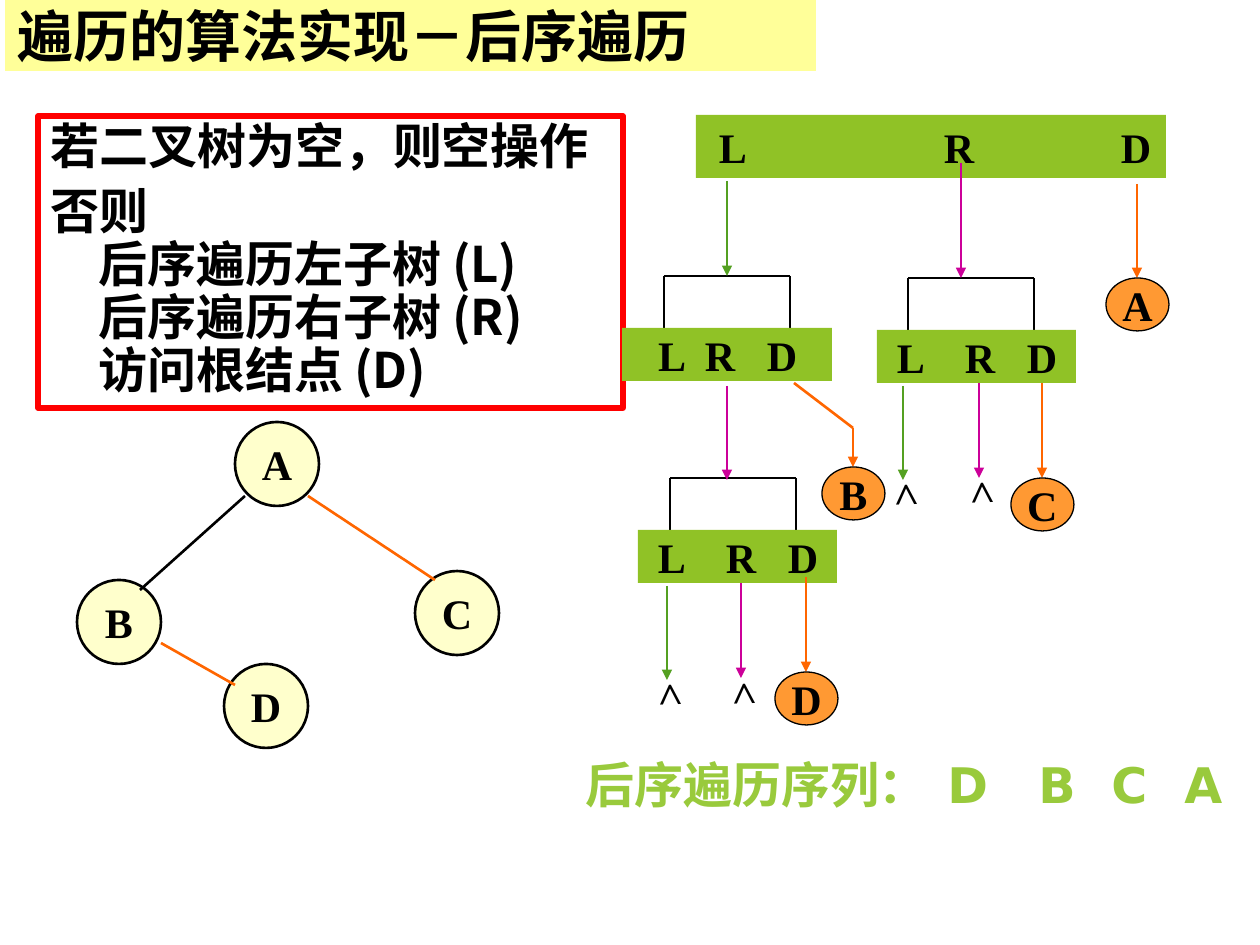
from dataclasses import dataclass

from lxml import etree
from pptx import Presentation
from pptx.dml.color import RGBColor
from pptx.enum.shapes import MSO_CONNECTOR, MSO_SHAPE
from pptx.enum.text import MSO_ANCHOR, MSO_AUTO_SIZE, PP_ALIGN
from pptx.oxml.ns import qn
from pptx.util import Pt

LINE = MSO_CONNECTOR.STRAIGHT
RECT, OVAL = MSO_SHAPE.RECTANGLE, MSO_SHAPE.OVAL
TOP, MID = MSO_ANCHOR.TOP, MSO_ANCHOR.MIDDLE
LEFT, CENTER = PP_ALIGN.LEFT, PP_ALIGN.CENTER
FIXED = MSO_AUTO_SIZE.NONE
SCALE = 914400 / 126


@dataclass(frozen=True)
class Theme:
    ink: str = "000000"
    banner: str = "FFFF99"
    frame: str = "FF0000"
    node: str = "FFFFCC"
    leaf: str = "FF9933"
    bar: str = "90C226"
    left: str = "54A021"
    right: str = "CC0099"
    root: str = "FF6600"
    total: str = "99CA3C"
    cjk: str = "Noto Sans CJK SC"
    serif: str = "Times New Roman"
    sans: str = "DejaVu Sans"
    title: int = 32
    body: int = 28
    label: int = 24
    thick: float = 3
    line: float = 1.5
    thin: float = 0.75


THEME = Theme()


def px(value):
    return round(value * SCALE)


def rgb(code):
    return RGBColor.from_string(code)


def place(shape, box):
    shape.left, shape.top, shape.width, shape.height = map(px, box)


def style(par, size, face, color=THEME.ink):
    for run in par.runs:
        font = run.font
        font.size, font.bold, font.name = Pt(size), True, face
        font.color.rgb = rgb(color)
        etree.SubElement(run._r.get_or_add_rPr(), qn("a:ea"), typeface=face)


def set_tabs(par, stops, align):
    tabs = etree.SubElement(par._p.get_or_add_pPr(), qn("a:tabLst"))
    for stop in stops:
        etree.SubElement(tabs, qn("a:tab"), pos=str(px(stop)), algn=align)


def draw(slide, kind, box, fill, line=None, width=0):
    shape = slide.shapes.add_shape(kind, *map(px, box))
    shape.shadow.inherit = False
    shape.fill.solid()
    shape.fill.fore_color.rgb = rgb(fill)
    if line:
        shape.line.color.rgb = rgb(line)
        shape.line.width = Pt(width)
    else:
        shape.line.fill.background()
    return shape


def label(shape, text, align=CENTER, stops=()):
    frame = shape.text_frame
    frame.margin_left = frame.margin_right = 0
    frame.margin_top = frame.margin_bottom = 0
    frame.vertical_anchor = MID
    frame.word_wrap = bool(stops)
    frame.text = text
    par = frame.paragraphs[0]
    par.alignment = align
    if stops:
        set_tabs(par, stops, "ctr")
    style(par, THEME.label, THEME.serif)


def link(slide, start, end, color=THEME.ink, arrow=False):
    line = slide.shapes.add_connector(LINE, *map(px, (*start, *end)))
    line.line.color.rgb = rgb(color)
    line.line.width = Pt(THEME.line)
    if arrow:
        etree.SubElement(line.line._get_or_add_ln(), qn("a:tailEnd"), type="triangle")
    etree.SubElement(line._element.spPr, qn("a:effectLst"))


def add_bar(slide, box, stops):
    bar = draw(slide, RECT, box, THEME.bar)
    label(bar, "\tL\tR\tD", LEFT, stops)


def add_head(slide, box):
    head = slide.shapes.title
    place(head, box)
    head.fill.solid()
    head.fill.fore_color.rgb = rgb(THEME.banner)
    frame = head.text_frame
    frame.auto_size, frame.vertical_anchor = FIXED, MID
    frame.text = "遍历的算法实现－后序遍历"
    par = frame.paragraphs[0]
    par.alignment = LEFT
    style(par, THEME.title, THEME.cjk)


def add_rules(slide, box):
    body = slide.placeholders[1]
    place(body, box)
    body.line.color.rgb = rgb(THEME.frame)
    body.line.width = Pt(THEME.thick)
    frame = body.text_frame
    frame.auto_size, frame.vertical_anchor = FIXED, TOP
    texts = (
        "若二叉树为空，则空操作",
        "否则\v后序遍历左子树 (L)\v后序遍历右子树 (R)\v访问根结点 (D)",
    )
    for row, text in enumerate(texts):
        par = frame.add_paragraph() if row else frame.paragraphs[0]
        par.text = text
        props = par._p.get_or_add_pPr()
        props.set("marL", str(px(48)))
        props.set("indent", str(px(-48)))
        etree.SubElement(props, qn("a:buNone"))
        par.line_spacing = 0.9
        par.space_before = Pt(7 * row)
        style(par, THEME.body, THEME.cjk)


def add_tree(slide, box):
    x, y, w, h = box
    size = 84
    nodes = (("A", 158, 0), ("D", 147, h - size), ("B", 0, 158), ("C", w - size, 149))
    for name, dx, dy in nodes:
        spot = (x + dx, y + dy, size, size)
        label(draw(slide, OVAL, spot, THEME.node, THEME.ink, THEME.line), name)
    edges = (
        (168, 74, 63, 168, THEME.ink),
        (231, 74, 358, 158, THEME.root),
        (84, 221, 158, 263, THEME.root),
    )
    for ax, ay, bx, by, color in edges:
        link(slide, (x + ax, y + ay), (x + bx, y + by), color)


def add_call(slide, box, lead, stops):
    x, y, w, h = box
    near, far, mid = x + lead, x + lead + 126, y + h // 2
    link(slide, (near, y), (far, y))
    for side in (near, far):
        link(slide, (side, y), (side, mid))
    add_bar(slide, (x, mid, w, h - h // 2), stops)


def add_step(slide, box, color, mark):
    x, y, w, h = box
    mid, tip = x + w // 2, y + h
    link(slide, (mid, y), (mid, tip), color, True)
    if mark == ">":
        null = slide.shapes.add_textbox(*map(px, (mid - 26, tip - 16, 53, 63)))
        null.rotation = 268.3
        label(null, mark)
    elif mark:
        spot = (x, tip, w, 53)
        label(draw(slide, OVAL, spot, THEME.leaf, THEME.ink, THEME.thin), mark)


def add_trace(slide, box):
    x, y, w, _ = box
    add_bar(slide, (x + 74, y, w - 77, 63), (37, 263, 440))
    wide, tight = (34, 103, 165), (50, 98, 160)
    calls = (
        (0, 161, 210, 42, tight),
        (16, 363, 199, 32, wide),
        (255, 163, 199, 31, wide),
    )
    for dx, dy, width, lead, stops in calls:
        add_call(slide, (x + dx, y + dy, width, 105), lead, stops)
    left, right, root = THEME.left, THEME.right, THEME.root
    steps = (
        (105, 66, 95, left, ""),
        (339, 48, 115, right, ""),
        (515, 69, 94, root, "A"),
        (105, 271, 94, right, ""),
        (231, 313, 39, root, "B"),
        (281, 271, 94, left, ">"),
        (357, 268, 95, right, ">"),
        (420, 268, 95, root, "C"),
        (45, 471, 94, left, ">"),
        (119, 468, 95, right, ">"),
        (184, 462, 95, root, "D"),
    )
    for dx, dy, drop, color, mark in steps:
        add_step(slide, (x + dx - 31, y + dy, 63, drop), color, mark)
    link(slide, (x + 172, y + 268), (x + 231, y + 313), root)


def add_total(slide, box):
    frame = slide.shapes.add_textbox(*map(px, box)).text_frame
    frame.word_wrap = True
    par = frame.paragraphs[0]
    par.text = "后序遍历序列：\tD\tB\tC\tA"
    set_tabs(par, (362, 453, 526, 599), "l")
    style(par, THEME.body, THEME.sans, THEME.total)


def main():
    deck = Presentation()
    deck.slide_width, deck.slide_height = px(1260), px(945)
    slide = deck.slides.add_slide(deck.slide_layouts[1])
    add_head(slide, (5, 0, 811, 71))
    add_rules(slide, (38, 116, 585, 292))
    add_tree(slide, (77, 422, 422, 326))
    add_trace(slide, (622, 115, 547, 610))
    add_total(slide, (573, 748, 672, 72))
    deck.save("out.pptx")


if __name__ == "__main__":
    main()
